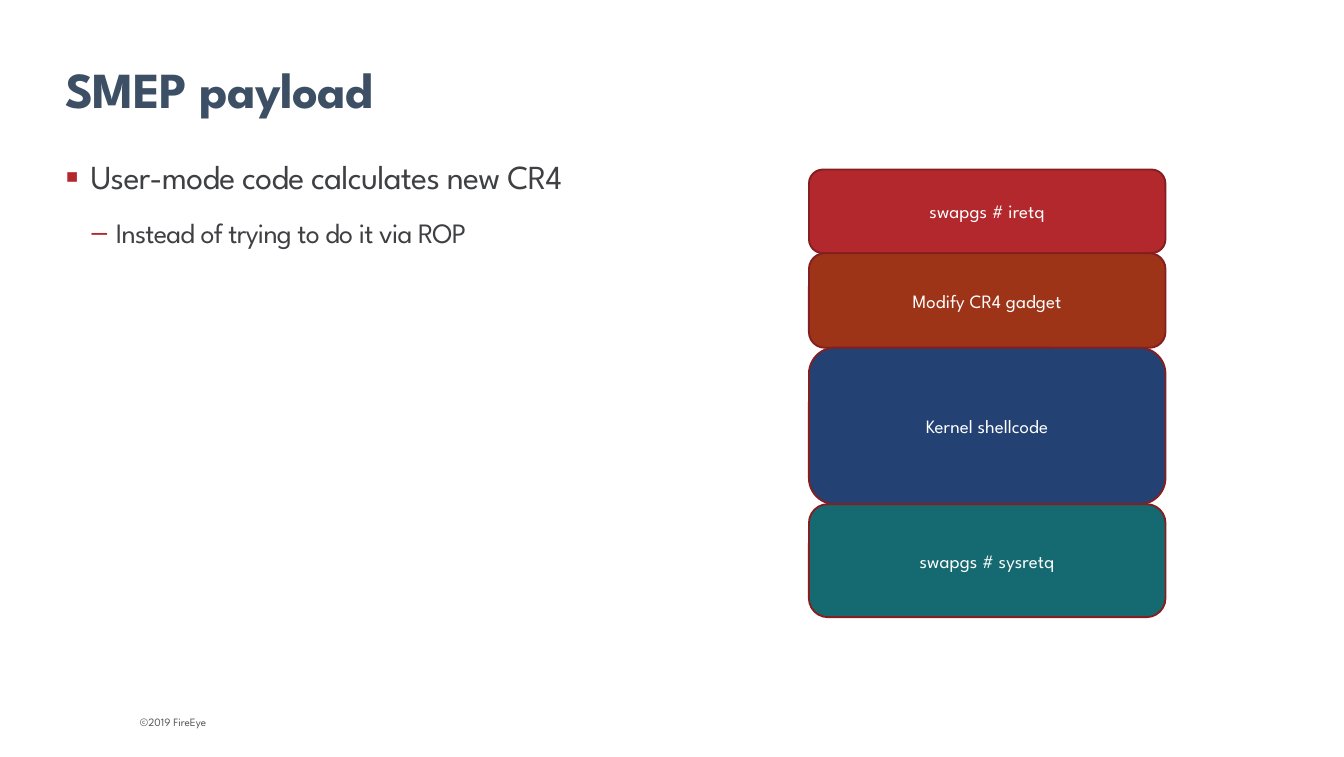
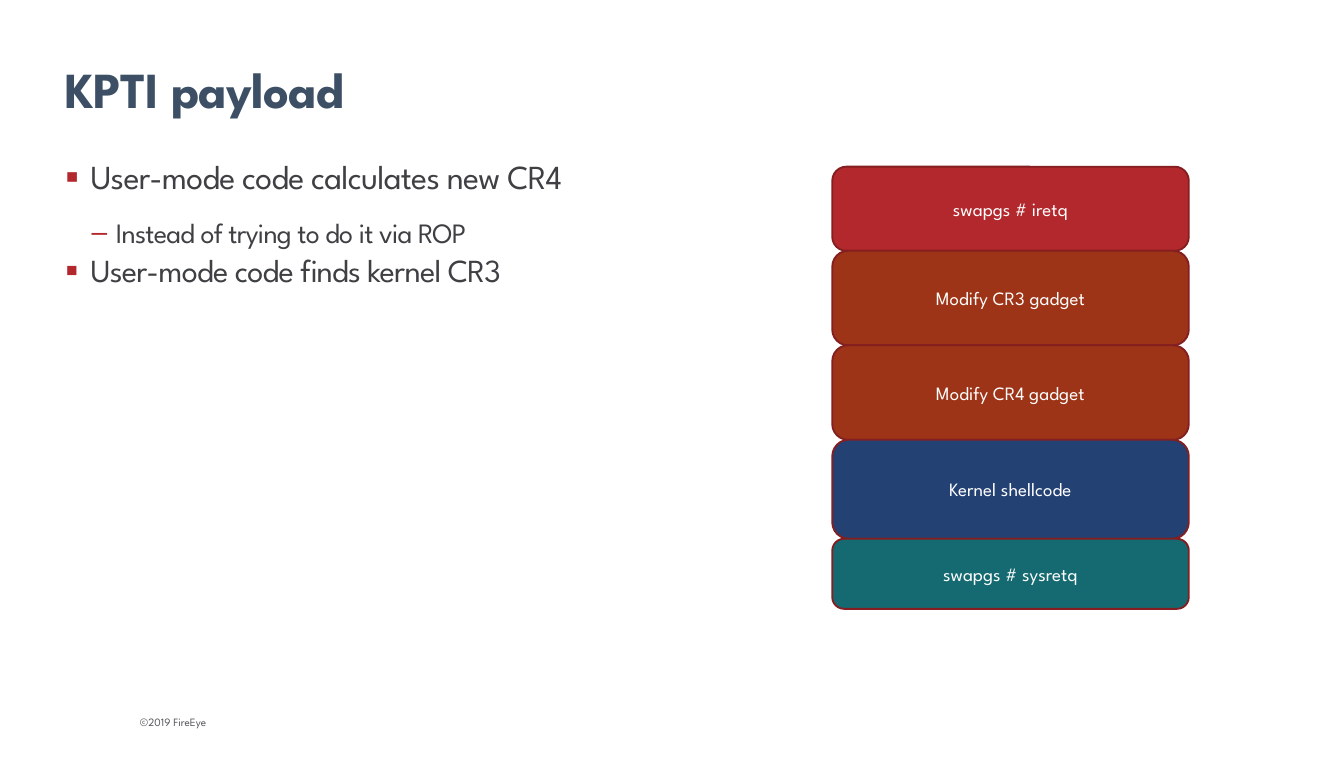
from lxml.etree import SubElement
from pptx import Presentation
from pptx.dml.color import RGBColor
from pptx.enum.shapes import MSO_SHAPE as SHAPE
from pptx.enum.text import MSO_ANCHOR as ANCHOR, PP_ALIGN as ALIGN
from pptx.oxml.ns import qn
from pptx.util import Pt

FONT, BULLET_FONT = "League Spartan", "Arial"
TITLE, BODY, FOOTER, WHITE = "3C4F65", "3F4043", "545659", "FFFFFF"
RED, RUST, NAVY, TEAL, EDGE = "B2282C", "9D3417", "234173", "146A70", "841E21"
MARGIN, CONTENT_W, BLOCK_W = 28, 656, 191
TIGHT = -0.38

# level: (bullet, bullet size %, left indent, hanging indent, space before, space after)
LEVELS = [("▪", 115, 13.5, 13.5, 0, 6), ("–", 100, 27, 13, 6, 3)]

CR4_POINTS = [(0, "User-mode code calculates new CR4", 18),
              (1, "Instead of trying to do it via ROP", 15)]

# title, points, stack left, stack top, blocks as (text, fill, height)
SLIDES = [
    ("SMEP payload", CR4_POINTS, 433.4, 90.8,
     [("swapgs # iretq", RED, 44.8),
      ("Modify CR4 gadget", RUST, 50.6),
      ("Kernel shellcode", NAVY, 83.8),
      ("swapgs # sysretq", TEAL, 60.5)]),
    ("KPTI payload", CR4_POINTS + [(0, "User-mode code finds kernel CR3", 17.2)],
     445.9, 89.3,
     [("swapgs # iretq", RED, 45),
      ("Modify CR3 gadget", RUST, 50.6),
      ("Modify CR4 gadget", RUST, 50.6),
      ("Kernel shellcode", NAVY, 53),
      ("swapgs # sysretq", TEAL, 37.5)]),
]


def rgb(color):
    return RGBColor.from_string(color)


def add_run(p, text, size, color, bold=False, spacing=0):
    """Add a run; spacing is the letter spacing in points."""
    r = p.add_run()
    r.text = text
    r.font.name, r.font.size, r.font.bold = FONT, Pt(size), bold
    r.font.color.rgb = rgb(color)
    if spacing:
        r.font._element.set("spc", str(round(spacing * 100)))


def add_text_box(s, left, top, width, height, anchor=ANCHOR.TOP):
    sp = s.shapes.add_textbox(Pt(left), Pt(top), Pt(width), Pt(height))
    tf = sp.text_frame
    tf.word_wrap = True
    tf.vertical_anchor = anchor
    return tf


def add_title(s, text):
    p = add_text_box(s, MARGIN, 27.4, CONTENT_W, 40.3, ANCHOR.BOTTOM).paragraphs[0]
    p.line_spacing = 0.9
    add_run(p, text, 27, TITLE, bold=True, spacing=TIGHT)


def add_footer(s):
    tf = add_text_box(s, 75, 383, 52, 7.2, ANCHOR.MIDDLE)
    tf.margin_left = tf.margin_right = tf.margin_top = tf.margin_bottom = 0
    add_run(tf.paragraphs[0], "©2019 FireEye", 6, FOOTER)


def set_bullet(p, char, percent, left, hanging):
    pPr = p._p.get_or_add_pPr()
    pPr.set("marL", str(Pt(left)))
    pPr.set("indent", str(-Pt(hanging)))
    SubElement(SubElement(pPr, qn("a:buClr")), qn("a:srgbClr"), val=RED)
    SubElement(pPr, qn("a:buSzPct"), val=str(percent * 1000))
    SubElement(pPr, qn("a:buFont"), typeface=BULLET_FONT)
    SubElement(pPr, qn("a:buChar"), char=char)


def add_points(s, points):
    tf = add_text_box(s, MARGIN, 82.2, CONTENT_W, 265)
    for i, (level, text, size) in enumerate(points):
        p = tf.add_paragraph() if i else tf.paragraphs[0]
        *bullet, before, after = LEVELS[level]
        set_bullet(p, *bullet)
        p.level = level
        p.line_spacing = 0.9
        p.space_before, p.space_after = Pt(before), Pt(after)
        add_run(p, text, size, BODY, spacing=TIGHT)


def add_block(s, left, top, height, text, fill):
    sp = s.shapes.add_shape(SHAPE.ROUNDED_RECTANGLE, Pt(left), Pt(top),
                            Pt(BLOCK_W), Pt(height))
    sp.shadow.inherit = False
    sp.fill.solid()
    sp.fill.fore_color.rgb = rgb(fill)
    sp.line.color.rgb = rgb(EDGE)
    sp.line.width = Pt(1)
    tf = sp.text_frame
    tf.word_wrap = True
    tf.vertical_anchor = ANCHOR.MIDDLE
    p = tf.paragraphs[0]
    p.alignment = ALIGN.CENTER
    add_run(p, text, 10.13, WHITE)


def add_stack(s, left, top, blocks):
    """Pile the blocks from the top down without gaps."""
    for text, fill, height in blocks:
        add_block(s, left, top, height, text, fill)
        top += height


def main():
    prs = Presentation()
    prs.slide_width, prs.slide_height = Pt(720), Pt(405.36)
    for title, points, left, top, blocks in SLIDES:
        s = prs.slides.add_slide(prs.slide_layouts[6])
        add_footer(s)
        add_title(s, title)
        add_points(s, points)
        add_stack(s, left, top, blocks)
    prs.save("out.pptx")


if __name__ == "__main__":
    main()
